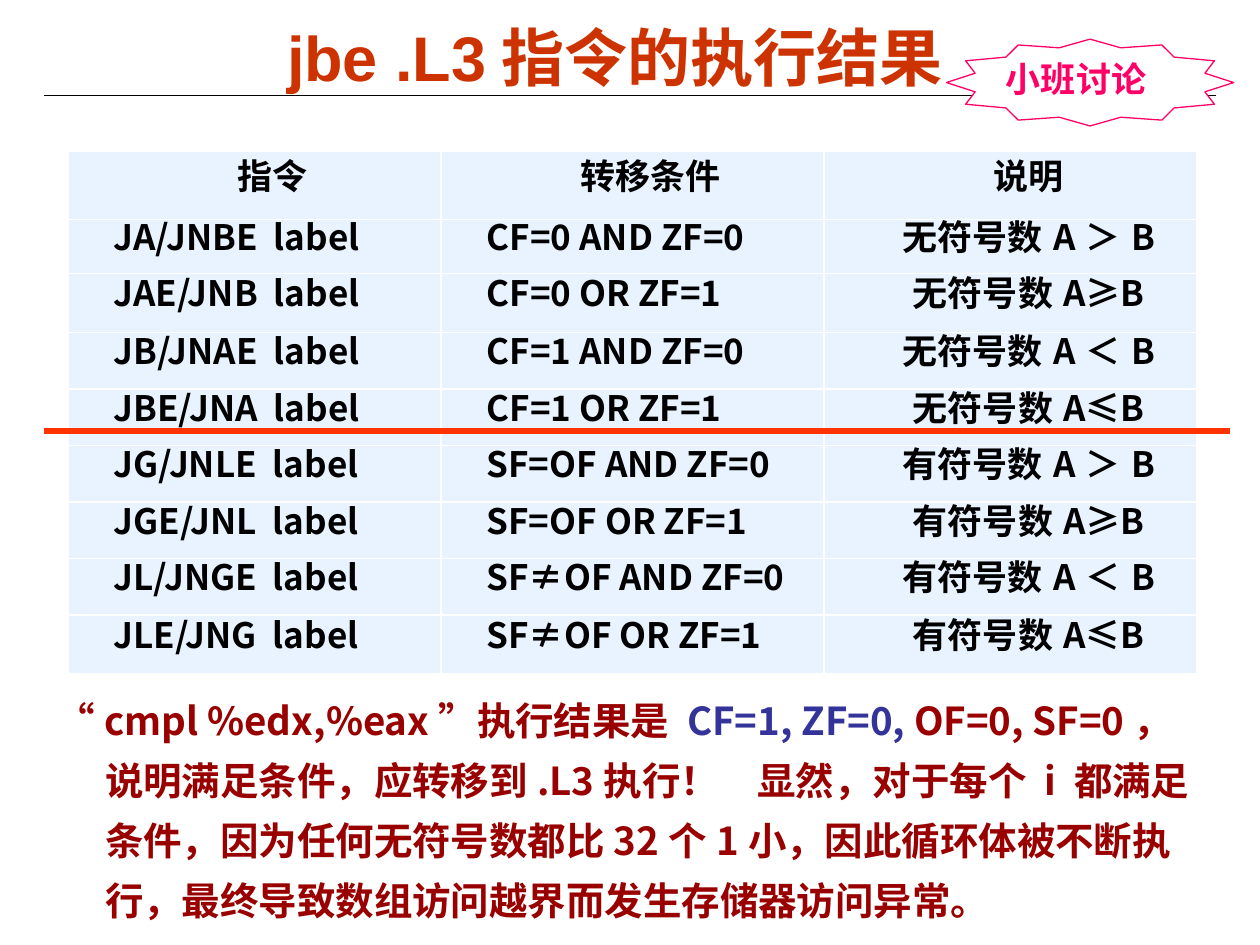
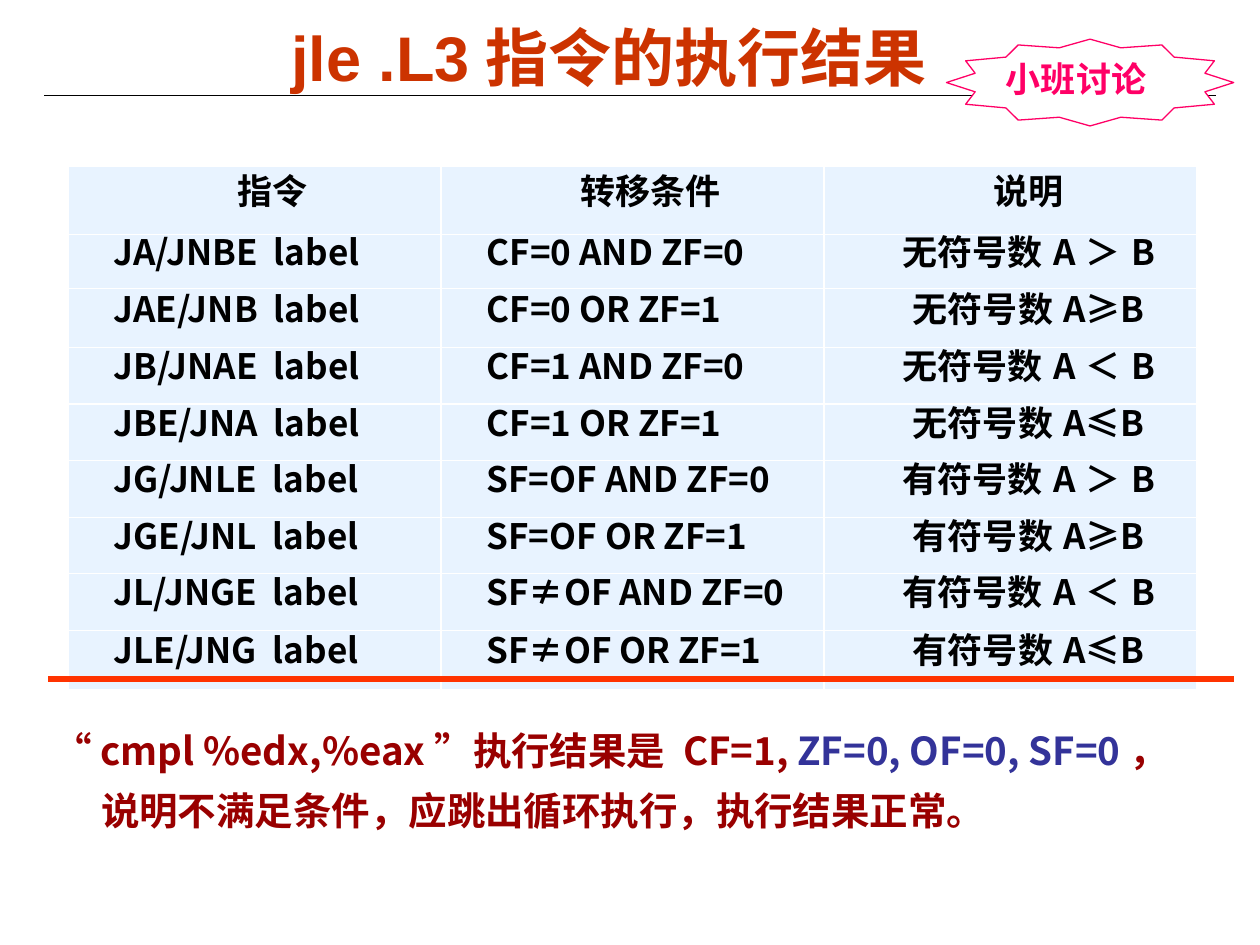
from collections import namedtuple
from dataclasses import dataclass

from lxml import etree
from pptx import Presentation
from pptx import util as u
from pptx.dml.color import RGBColor
from pptx.enum import shapes, text
from pptx.oxml.ns import qn

Box = namedtuple("Box", "left top width height")


@dataclass(frozen=True)
class Theme:
    title_font: str = "Arial"
    body_font: str = "Noto Sans CJK SC"
    title_size: int = 36
    note_size: int = 22
    table_size: int = 20
    title_color: str = "CC3300"
    note_color: str = "990000"
    flag_color: str = "333399"
    badge_color: str = "FF0066"
    mark_color: str = "FF3300"
    ink: str = "000000"
    paper: str = "FFFFFF"
    cell_fill: str = "E8F3FF"


THEME = Theme()
ALIGN = text.PP_ALIGN
ANCHOR = text.MSO_ANCHOR

HEADER = ("指令", "转移条件", "说明")
JUMPS = (
    ("JA/JNBE  label", "CF=0 AND ZF=0", "无符号数A＞B"),
    ("JAE/JNB  label", "CF=0 OR ZF=1", "无符号数A≥B"),
    ("JB/JNAE  label", "CF=1 AND ZF=0", "无符号数A＜B"),
    ("JBE/JNA  label", "CF=1 OR ZF=1", "无符号数A≤B"),
    ("JG/JNLE  label", "SF=OF AND ZF=0", "有符号数A＞B"),
    ("JGE/JNL  label", "SF=OF OR ZF=1", "有符号数A≥B"),
    ("JL/JNGE  label", "SF≠OF AND ZF=0", "有符号数A＜B"),
    ("JLE/JNG  label", "SF≠OF OR ZF=1", "有符号数A≤B"),
)
COLUMN_WIDTHS = (7.52, 7.72, 7.52)
ROW_HEIGHTS = (1.37, 1.09, 1.19, 1.14, 1.14, 1.14, 1.14, 1.14, 1.19)


def rgb(color):
    return RGBColor.from_string(color)


def lengths(box):
    return [u.Cm(value) for value in box]


def write(frame, runs, *, size, color=THEME.ink, font=THEME.body_font,
          align=ALIGN.LEFT, spacing=None, margin=0, indent=0):
    if isinstance(runs, str):
        runs = [(runs, color)]
    paragraph = frame.paragraphs[0]
    paragraph.alignment = align
    paragraph.line_spacing = spacing
    properties = paragraph._p.get_or_add_pPr()
    properties.set("marL", str(u.Cm(margin)))
    properties.set("indent", str(u.Cm(indent)))
    for words, run_color in runs:
        run = paragraph.add_run()
        run.text = words
        run.font.name = font
        run.font.size = u.Pt(size)
        run.font.bold = True
        run.font.color.rgb = rgb(run_color)
        east_asian = etree.SubElement(run._r.get_or_add_rPr(), qn("a:ea"))
        east_asian.set("typeface", THEME.body_font)


def set_frame(frame, anchor, horizontal, vertical):
    frame.word_wrap = True
    frame.vertical_anchor = anchor
    frame.margin_left = frame.margin_right = u.Cm(horizontal)
    frame.margin_top = frame.margin_bottom = u.Cm(vertical)


def add_line(slide, left, top, width, color, weight):
    line = slide.shapes.add_connector(
        shapes.MSO_CONNECTOR.STRAIGHT,
        *lengths((left, top, left + width, top)))
    line.line.color.rgb = rgb(color)
    line.line.width = u.Pt(weight)
    etree.SubElement(line._element.spPr, qn("a:effectLst"))


def add_panel(slide, kind, box):
    panel = slide.shapes.add_shape(kind, *lengths(box))
    panel.shadow.inherit = False
    panel.fill.solid()
    panel.fill.fore_color.rgb = rgb(THEME.paper)
    panel.line.fill.background()
    return panel


def add_title(slide, box, title):
    add_line(slide, 0.89, 1.93, 23.62, THEME.ink, 0.75)
    frame = slide.shapes.add_textbox(*lengths(box)).text_frame
    set_frame(frame, ANCHOR.MIDDLE, 0.25, 0.13)
    write(frame, title, size=THEME.title_size, color=THEME.title_color,
          font=THEME.title_font, align=ALIGN.CENTER)


def add_borders(cell):
    properties = cell._tc.get_or_add_tcPr()
    for side in ("a:lnL", "a:lnR", "a:lnT", "a:lnB"):
        border = etree.SubElement(properties, qn(side), w=str(u.Pt(1)))
        fill = etree.SubElement(border, qn("a:solidFill"))
        etree.SubElement(fill, qn("a:srgbClr"), val=THEME.paper)


def add_jump_table(slide, left, top):
    rows = (HEADER,) + JUMPS
    box = Box(left, top, sum(COLUMN_WIDTHS), sum(ROW_HEIGHTS))
    table = slide.shapes.add_table(
        len(rows), len(HEADER), *lengths(box)).table
    table.first_row = table.horz_banding = False
    for column, width in zip(table.columns, COLUMN_WIDTHS):
        column.width = u.Cm(width)
    for row, height in zip(table.rows, ROW_HEIGHTS):
        row.height = u.Cm(height)
    for row_index, row in enumerate(rows):
        for column_index, words in enumerate(row):
            cell = table.cell(row_index, column_index)
            add_borders(cell)
            cell.fill.solid()
            cell.fill.fore_color.rgb = rgb(THEME.cell_fill)
            cell.vertical_anchor = ANCHOR.MIDDLE
            cell.margin_left = cell.margin_right = u.Cm(0.18)
            cell.margin_top = cell.margin_bottom = 0
            centred = row_index == 0 or column_index == 2
            write(cell.text_frame, words, size=THEME.table_size,
                  align=ALIGN.CENTER if centred else ALIGN.JUSTIFY,
                  spacing=u.Pt(16), indent=0.74)


def add_note(slide, box, runs):
    frame = add_panel(slide, shapes.MSO_SHAPE.RECTANGLE, box).text_frame
    set_frame(frame, ANCHOR.TOP, 0.18, 0.08)
    write(frame, runs, size=THEME.note_size, spacing=1.3,
          margin=0.97, indent=-0.97)


def add_badge(slide, box):
    badge = add_panel(slide, shapes.MSO_SHAPE.STAR_12_POINT, box)
    badge.adjustments[0] = 0.414
    badge.line.color.rgb = rgb(THEME.badge_color)
    badge.line.width = u.Pt(0.75)
    set_frame(badge.text_frame, ANCHOR.TOP, 0, 0)
    write(badge.text_frame, "小班讨论", size=THEME.table_size,
          color=THEME.badge_color)


def add_result_slide(presentation, *, title, title_left, table_top,
                     mark_left, mark_top, note_box, note):
    slide = presentation.slides.add_slide(presentation.slide_layouts[6])
    add_title(slide, Box(title_left, 0.41, 15.65, 1.47), title)
    add_jump_table(slide, 1.37, table_top)
    add_line(slide, mark_left, mark_top, 23.9, THEME.mark_color, 3)
    add_note(slide, note_box, note)
    add_badge(slide, Box(19.08, 0.79, 5.79, 1.75))


def main():
    presentation = Presentation()
    presentation.slide_width = u.Cm(25.4)
    presentation.slide_height = u.Cm(19.05)
    add_result_slide(
        presentation, title="jbe .L3指令的执行结果", title_left=4.57,
        table_top=3.05, mark_left=0.89, mark_top=8.69,
        note_box=Box(0.97, 13.69, 23.47, 4.98),
        note=[
            ("“cmpl %edx,%eax”执行结果是 ", THEME.note_color),
            ("CF=1, ZF=0, ", THEME.flag_color),
            ("OF=0, SF=0，说明满足条件，应转移到.L3执行！　显然，"
             "对于每个 i 都满足条件，因为任何无符号数都比32个1小，"
             "因此循环体被不断执行，最终导致数组访问越界而发生"
             "存储器访问异常。", THEME.note_color),
        ])
    add_result_slide(
        presentation, title="jle .L3指令的执行结果", title_left=4.45,
        table_top=3.36, mark_left=0.97, mark_top=13.69,
        note_box=Box(0.89, 14.3, 23.47, 2.57),
        note=[
            ("“cmpl %edx,%eax”执行结果是 CF=1,", THEME.note_color),
            (" ZF=0, OF=0, SF=0", THEME.flag_color),
            ("， 说明不满足条件，应跳出循环执行，执行结果正常。",
             THEME.note_color),
        ])
    presentation.save("out.pptx")


if __name__ == "__main__":
    main()
